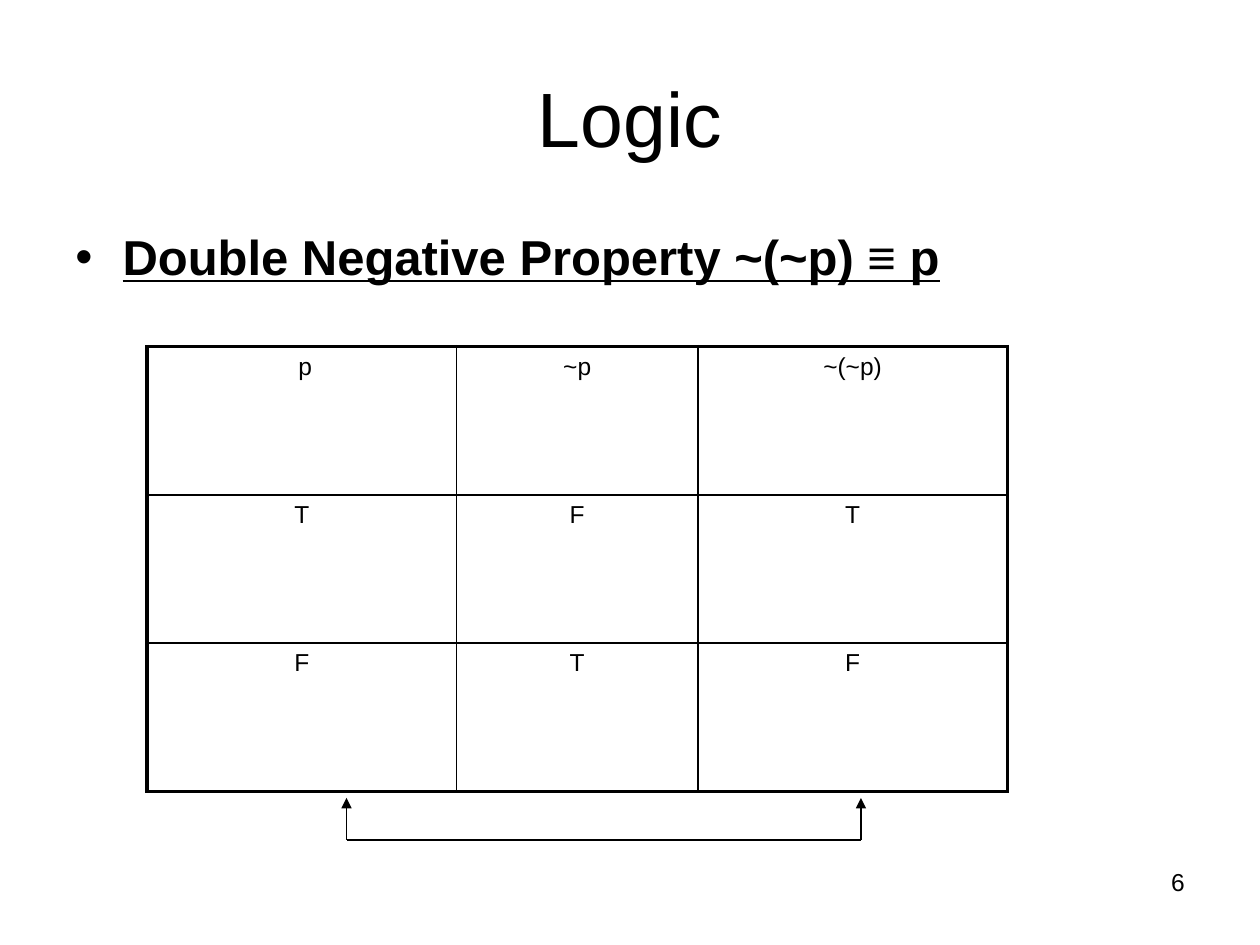
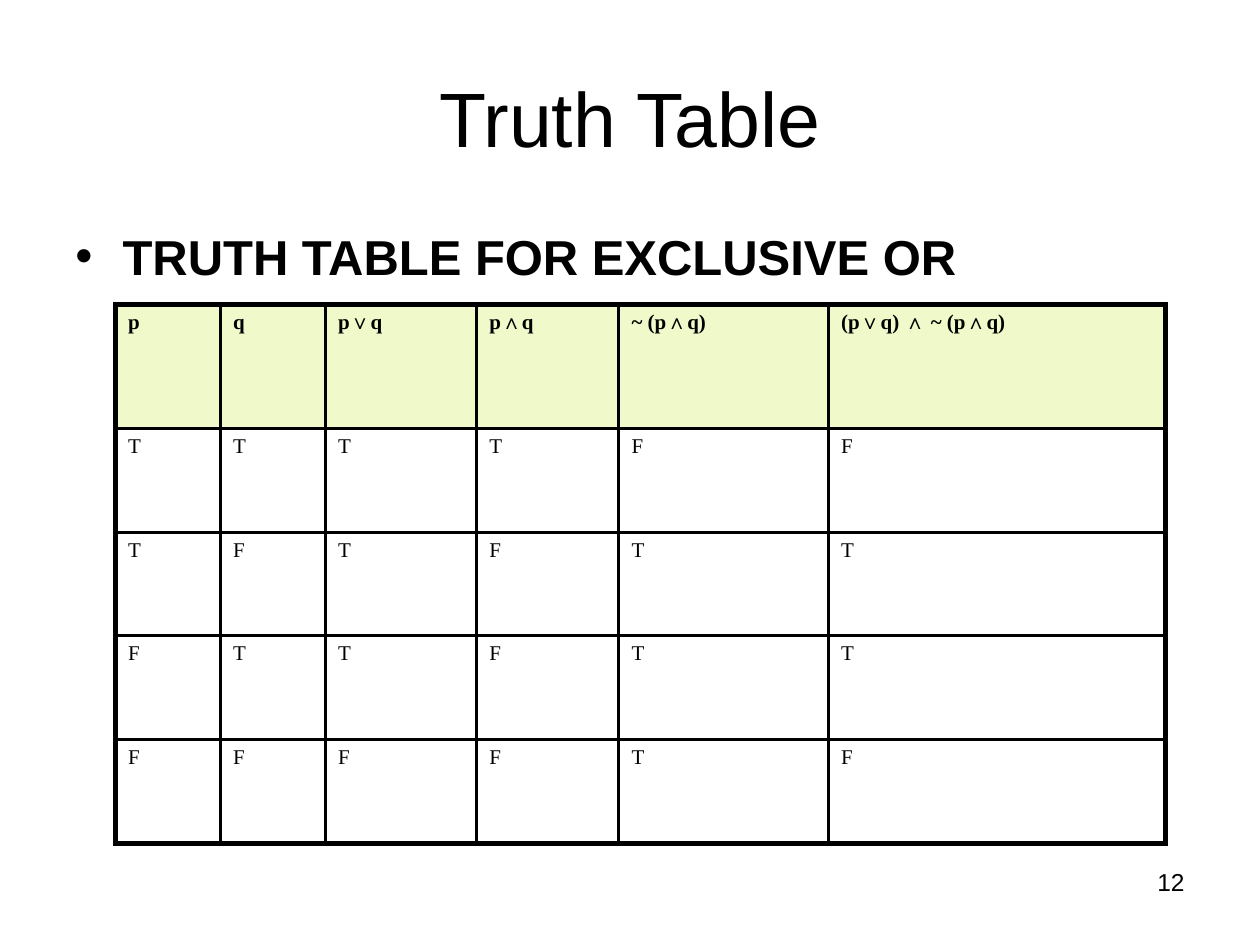
from dataclasses import dataclass

from lxml.etree import SubElement
from pptx import Presentation
from pptx.dml.color import RGBColor
from pptx.enum.shapes import MSO_CONNECTOR
from pptx.enum.text import MSO_ANCHOR, PP_ALIGN
from pptx.oxml.ns import qn
from pptx.util import Pt


@dataclass(frozen=True)
class Theme:
    ink: str = "000000"
    head: str = "F0F9C9"
    sans: str = "Arial"
    serif: str = "Times New Roman"
    title: int = 44
    point: int = 28
    note: int = 14
    cell: int = 12


theme = Theme()
indent = 27


def write(frame, text, size, face=theme.sans, align=PP_ALIGN.LEFT, bold=False):
    para = frame.paragraphs[0]
    para.alignment = align
    run = para.add_run()
    run.text = text
    run.font.name = face
    run.font.size = Pt(size)
    run.font.bold = bold
    run.font.color.rgb = RGBColor.from_string(theme.ink)
    return para


def hang(para):
    props = para._p.get_or_add_pPr()
    props.set("marL", str(Pt(indent)))
    props.set("indent", str(Pt(-indent)))
    return props


pages = [
    dict(
        title="Logic", point="Double Negative Property ~(~p) ≡ p", line=True,
        page="6", tall=48, left=84, top=198,
        cols=[177, 137.75, 177], rows=[84.75] * 3, edge=2.25, grid=1,
        head=None, face=theme.sans, size=theme.note, align=PP_ALIGN.CENTER,
        cells=[[" p", "~p", "~(~p)"], "TFT", "FTF"],
        wires=[((492, 480), (198, 480), False),
               ((492, 480), (492, 456), True),
               ((198, 480), (198, 456), True)],
    ),
    dict(
        title="Truth Table", point="TRUTH TABLE FOR EXCLUSIVE OR", line=False,
        page="12", tall=42, left=66, top=174,
        cols=[60, 60, 86.5, 81.25, 119.75, 192.5],
        rows=[70.75] + [59.35] * 4, edge=3, grid=2,
        head=theme.head, face=theme.serif, size=theme.cell, align=PP_ALIGN.LEFT,
        cells=[["p", "q", "p∨q", "p∧q", "~ (p∧q)", "(p∨q) ∧ ~ (p∧q)"],
               "TTTTFF", "TFTFTT", "FTTFTT", "FFFFTF"],
        wires=[],
    ),
]

deck = Presentation()
deck.slide_width, deck.slide_height = Pt(720), Pt(540)

for page in pages:
    slide = deck.slides.add_slide(deck.slide_layouts[5])
    title = slide.shapes.title
    title.left, title.top, title.width, title.height = Pt(36), Pt(21.6), Pt(648), Pt(90)
    title.text_frame.vertical_anchor = MSO_ANCHOR.MIDDLE
    write(title.text_frame, page["title"], theme.title, align=PP_ALIGN.CENTER)

    foot = slide.shapes.add_textbox(Pt(516), Pt(492), Pt(168), Pt(37.5))
    foot.text_frame.word_wrap = True
    write(foot.text_frame, page["page"], theme.note, align=PP_ALIGN.RIGHT)

    box = slide.shapes.add_textbox(Pt(36), Pt(126), Pt(648), Pt(page["tall"]))
    box.text_frame.word_wrap = True
    para = write(box.text_frame, page["point"], theme.point, bold=True)
    para.runs[0].font.underline = page["line"]
    para.space_before = Pt(0.2 * theme.point)
    props = hang(para)
    SubElement(props, qn("a:buFont"), typeface=theme.sans)
    SubElement(props, qn("a:buChar"), char="•")

    cols, rows = page["cols"], page["rows"]
    table = slide.shapes.add_table(
        len(rows), len(cols), Pt(page["left"]), Pt(page["top"]),
        Pt(sum(cols)), Pt(sum(rows))).table
    table.first_row = table.horz_banding = False
    for c, width in enumerate(cols):
        table.columns[c].width = Pt(width)
    for r, height in enumerate(rows):
        table.rows[r].height = Pt(height)
        for c, text in enumerate(page["cells"][r]):
            cell = table.cell(r, c)
            top = r == 0 and page["head"] is not None
            para = write(cell.text_frame, text, page["size"], page["face"],
                         page["align"], top)
            if page["align"] == PP_ALIGN.LEFT:
                hang(para)
            if top:
                cell.fill.solid()
                cell.fill.fore_color.rgb = RGBColor.from_string(page["head"])
            else:
                cell.fill.background()
            props = cell._tc.get_or_add_tcPr()
            sides = [("L", c == 0), ("R", c == len(cols) - 1),
                     ("T", r == 0), ("B", r == len(rows) - 1)]
            for spot, (side, rim) in enumerate(sides):
                width = Pt(page["edge"] if rim else page["grid"])
                line = SubElement(props, qn("a:ln" + side), w=str(width))
                fill = SubElement(line, qn("a:solidFill"))
                SubElement(fill, qn("a:srgbClr"), val=theme.ink)
                props.insert(spot, line)

    for start, end, arrow in page["wires"]:
        wire = slide.shapes.add_connector(
            MSO_CONNECTOR.STRAIGHT, *map(Pt, start + end))
        wire.line.color.rgb = RGBColor.from_string(theme.ink)
        wire.line.width = Pt(0.75)
        props = wire._element.spPr
        if arrow:
            SubElement(props.find(qn("a:ln")), qn("a:tailEnd"), type="triangle")
        SubElement(props, qn("a:effectLst"))

deck.save("out.pptx")
